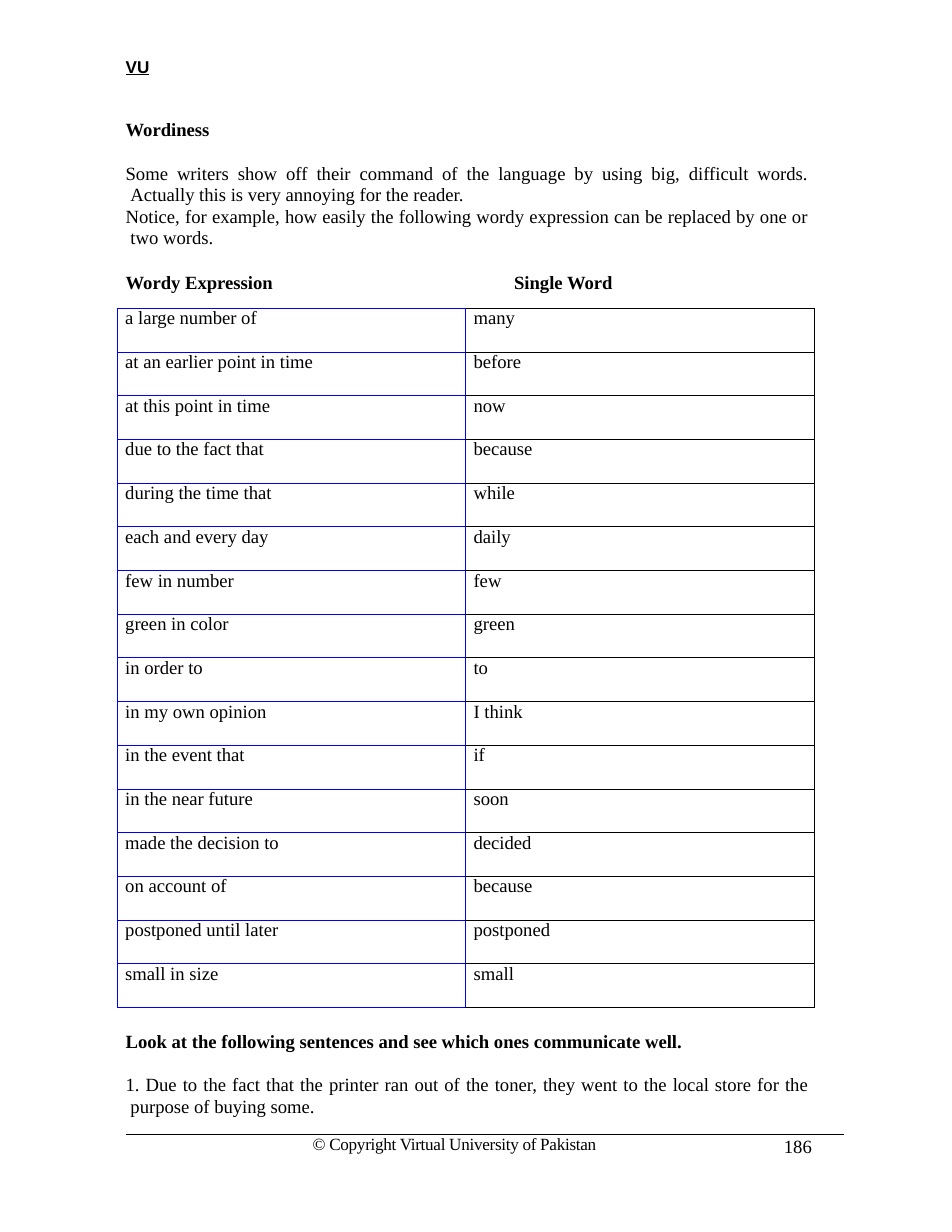
from lxml import etree
from pptx import Presentation
from pptx.dml.color import RGBColor
from pptx.enum.shapes import MSO_CONNECTOR
from pptx.enum.text import PP_ALIGN
from pptx.oxml.ns import qn
from pptx.util import Cm, Pt

BLACK = RGBColor(0, 0, 0)
BLUE = RGBColor(0, 0, 255)
SERIF = "Times New Roman"
INDENT = Cm(0.03)
HANG = Cm(0.11)
BLANK_LINE = 14.3

EXPRESSIONS = [
    ("a large number of", "many"),
    ("at an earlier point in time", "before"),
    ("at this point in time", "now"),
    ("due to the fact that", "because"),
    ("during the time that", "while"),
    ("each and every day", "daily"),
    ("few in number", "few"),
    ("green in color", "green"),
    ("in order to", "to"),
    ("in my own opinion", "I think"),
    ("in the event that", "if"),
    ("in the near future", "soon"),
    ("made the decision to", "decided"),
    ("on account of", "because"),
    ("postponed until later", "postponed"),
    ("small in size", "small"),
]


def add_run(p, text, size=12, bold=False, font=SERIF, underline=False, spacing=0):
    r = p.add_run()
    r.text = text
    r.font.name = font
    r.font.size = Pt(size)
    r.font.bold = bold
    r.font.underline = underline
    r.font.color.rgb = BLACK
    if spacing:
        r.font._element.set("spc", str(int(spacing * 100)))


def add_text_box(slide, left, top, width, height, inset_top=0):
    tf = slide.shapes.add_textbox(Cm(left), Cm(top), Cm(width), Cm(height)).text_frame
    tf.word_wrap = True
    tf.margin_left = tf.margin_right = tf.margin_bottom = 0
    tf.margin_top = Cm(inset_top)
    return tf


def add_paragraph(tf, before=0, left=INDENT):
    p = tf.paragraphs[0]
    if p.runs:
        p = tf.add_paragraph()
        p.space_before = Pt(before)
    p._p.get_or_add_pPr().set("marL", str(left))
    return p


def add_body(tf, text, before=0, right=0):
    p = add_paragraph(tf, before, INDENT + HANG)
    p.alignment = PP_ALIGN.JUSTIFY
    p.line_spacing = Pt(13.8)
    pPr = p._p.get_or_add_pPr()
    pPr.set("indent", str(-HANG))
    pPr.set("marR", str(Cm(right)))
    add_run(p, text)


def add_tab_stop(p, position):
    tabs = etree.SubElement(p._p.get_or_add_pPr(), qn("a:tabLst"))
    etree.SubElement(tabs, qn("a:tab"), pos=str(Cm(position)), algn="l")


def add_border(cell, side, color):
    ln = etree.SubElement(cell._tc.get_or_add_tcPr(), qn("a:ln" + side), w=str(Pt(0.5)))
    fill = etree.SubElement(ln, qn("a:solidFill"))
    etree.SubElement(fill, qn("a:srgbClr"), val=str(color))


def fill_cell(cell, text, colors):
    cell.margin_left = cell.margin_right = cell.margin_top = cell.margin_bottom = 0
    add_run(add_paragraph(cell.text_frame, left=Cm(0.18)), text)
    for side, color in zip("LRTB", colors):
        add_border(cell, side, color)
    cell.fill.background()


def add_expression_table(slide):
    rows = len(EXPRESSIONS)
    table = slide.shapes.add_table(
        rows, 2, Cm(2.66), Cm(6.99), Cm(15.8), Cm(15.87)).table
    table.first_row = table.horz_banding = False
    borders = [(BLUE,) * 4, (BLUE, BLACK, BLACK, BLACK)]
    for i, pair in enumerate(EXPRESSIONS):
        table.rows[i].height = Cm(15.87) // rows
        for j, text in enumerate(pair):
            fill_cell(table.cell(i, j), text, borders[j])


def add_rule(slide, left, top, right):
    line = slide.shapes.add_connector(
        MSO_CONNECTOR.STRAIGHT, Cm(left), Cm(top), Cm(right), Cm(top))
    line.line.color.rgb = BLACK
    line.line.width = Pt(0.75)
    etree.SubElement(line._element.spPr, qn("a:effectLst"))


def add_introduction(slide):
    tf = add_text_box(slide, 2.82, 1.22, 16.36, 5.31, 0.05)
    add_run(add_paragraph(tf), "VU", 11, True, "Arial", True)
    add_run(add_paragraph(tf, 26.5), "Wordiness", bold=True)
    add_body(tf, "Some writers show off their command of the language by using big, "
                 "difficult words. Actually this is very annoying for the reader.",
             BLANK_LINE, 0.83)
    add_body(tf, "Notice, for example, how easily the following wordy expression can "
                 "be replaced by one or two words.", right=0.83)
    p = add_paragraph(tf, BLANK_LINE)
    add_tab_stop(p, 8.81)
    add_run(p, "Wordy Expression\tSingle Word", bold=True)


def add_exercise(slide):
    tf = add_text_box(slide, 2.82, 23.29, 15.62, 2.03, 0.06)
    add_run(add_paragraph(tf),
            "Look at the following sentences and see which ones communicate well.",
            bold=True)
    add_body(tf, "1. Due to the fact that the printer ran out of the toner, they went "
                 "to the local store for the purpose of buying some.", BLANK_LINE, 0.08)


def add_footer(slide):
    add_rule(slide, 2.85, 25.73, 19.15)
    tf = add_text_box(slide, 7.06, 25.7, 6.5, 0.51)
    add_run(add_paragraph(tf), "© Copyright Virtual University of Pakistan", 11,
            spacing=-0.2)
    tf = add_text_box(slide, 17.68, 25.73, 0.84, 0.53)
    add_run(add_paragraph(tf, left=Cm(0.1)), "186")


def main():
    prs = Presentation()
    prs.slide_width, prs.slide_height = Cm(21.59), Cm(27.94)
    slide = prs.slides.add_slide(prs.slide_layouts[6])
    add_introduction(slide)
    add_expression_table(slide)
    add_exercise(slide)
    add_footer(slide)
    prs.save("out.pptx")


if __name__ == "__main__":
    main()
